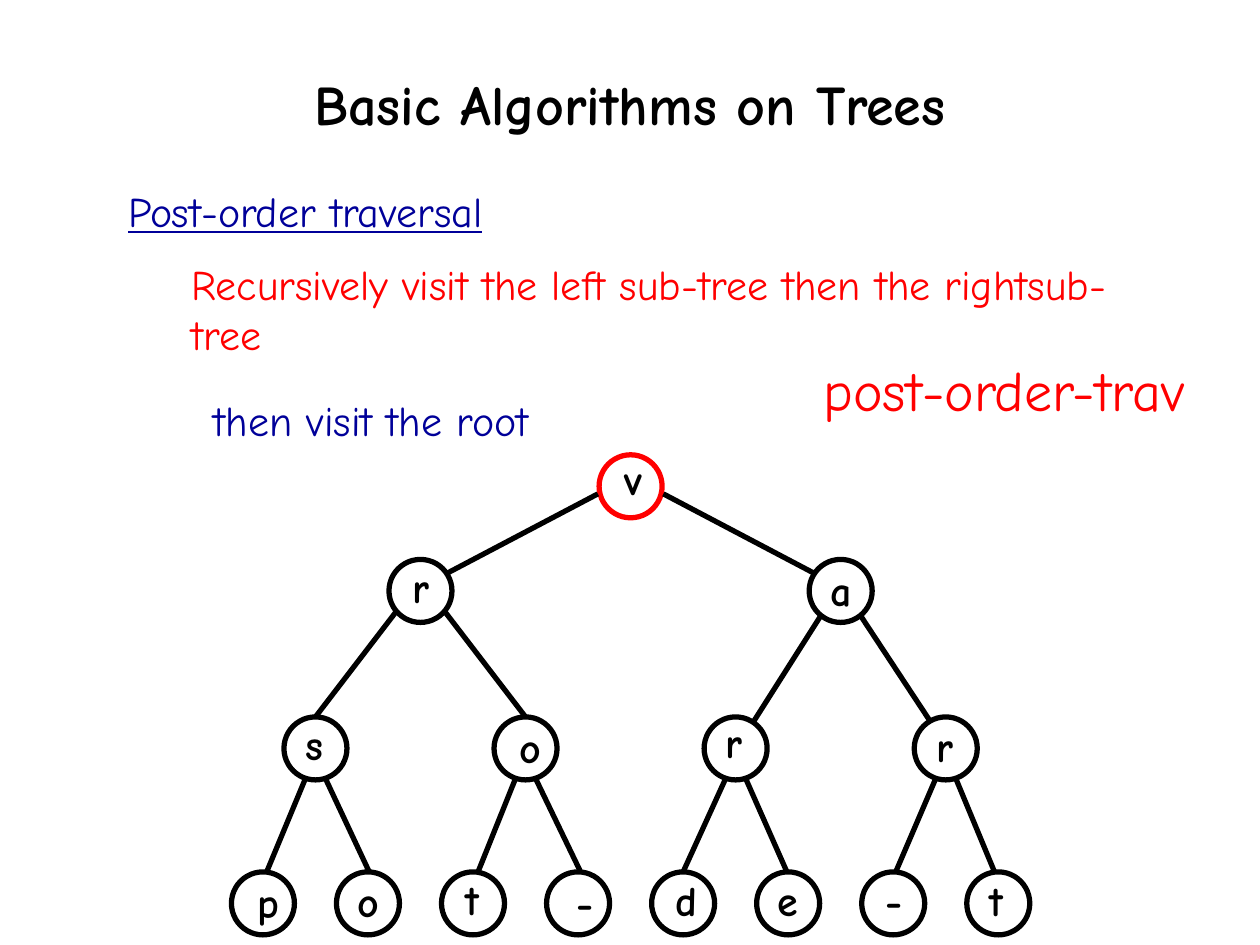
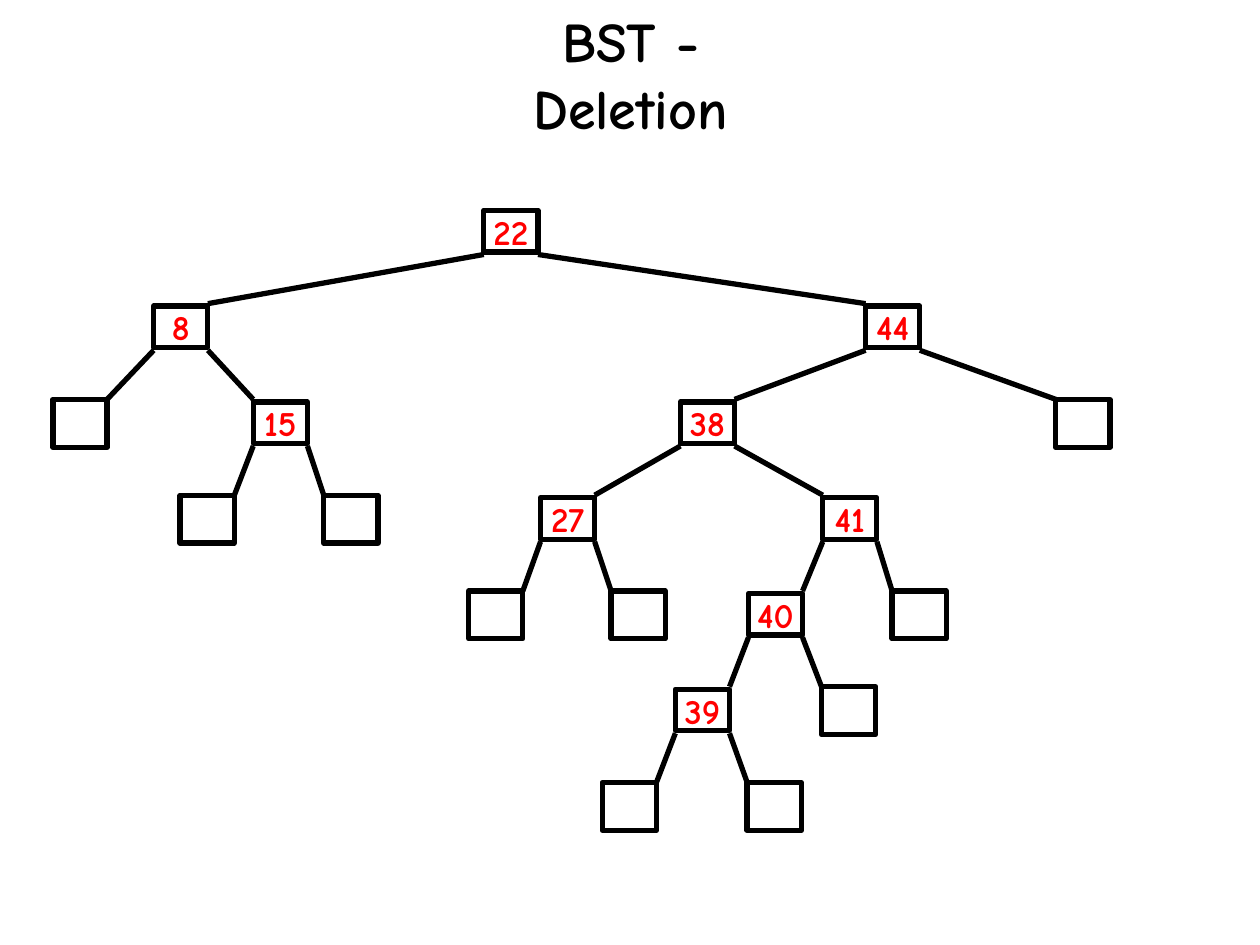
from lxml import etree
from pptx import Presentation
from pptx.dml.color import RGBColor
from pptx.enum import shapes, text
from pptx.oxml import ns
from pptx.util import Inches, Pt

FONT = "Comic Neue"
BLACK, WHITE, RED, NAVY = "000000", "FFFFFF", "FF0000", "000099"
LEFT, CENTER = text.PP_ALIGN.LEFT, text.PP_ALIGN.CENTER

# Letter tree, level by level: letter, its offset in the circle, inward lean of the edge
LEVELS = [
    [("v", .10, -.06, 0)],
    [("r", .09, -.03, .21), ("a", .07, -.01, .21)],
    [("s", .07, -.04, 0), ("o", .10, -.01, 0),
     ("r", .07, -.05, .14), ("r", .08, -.02, .12)],
    [("p", .11, -.01, .03), ("o", .07, -.02, -.01),
     ("t", .09, -.04, .04), ("-", .14, -.01, -.02),
     ("d", .09, -.03, 0), ("e", .07, -.03, .01),
     ("-", .09, -.03, .02), ("t", .08, -.03, .03)],
]
TOPS = [0, .83, 2.08, 3.31]
WIDTHS = {"v": .34, "r": .33, "s": .34, "t": .31, "-": .33, "e": .36}
# Edge ends per parent: x and y from its centre, rise above the child's centre
JOINTS = [[(.26, .06, .14)],
          [(.19, .16, .25), (.16, .20, .21)],
          [(.08, .24, .25)] * 4]

# Search tree: (key, left, left child, right child); a bare number is an empty leaf
BST = (22, 3.42,
       (8, .80, 0, (15, 1.59, 1.01, 2.15)),
       (44, 6.45,
        (38, 4.98,
         (27, 3.87, 3.30, 4.43),
         (41, 6.11,
          (40, 5.52, (39, 4.94, 4.36, 5.51), 6.10),
          6.66)),
        7.96))
STEP, WIDE, HIGH = .76, .43, .33


def color(code):
    return RGBColor.from_string(code)


def write(frame, words, size, ink, bold=False, align=LEFT, line=False):
    para = frame.paragraphs[0]
    para.alignment = align
    run = para.add_run()
    run.text = words
    font = run.font
    font.name, font.size, font.bold = FONT, Pt(size), bold
    font.underline = line
    font.color.rgb = color(ink)


def label(slide, box, words, size, ink, wrap=False, **look):
    frame = slide.shapes.add_textbox(*map(Inches, box)).text_frame
    frame.word_wrap = wrap
    frame.auto_size = text.MSO_AUTO_SIZE.SHAPE_TO_FIT_TEXT
    write(frame, words, size, ink, **look)


def node(slide, kind, box, ink=BLACK, fill=None):
    shape = slide.shapes.add_shape(kind, *map(Inches, box))
    shape.shadow.inherit = False
    if fill:
        shape.fill.solid()
        shape.fill.fore_color.rgb = color(fill)
    else:
        shape.fill.background()
    shape.line.color.rgb = color(ink)
    shape.line.width = Pt(3)
    return shape


def edge(slide, start, end):
    line = slide.shapes.add_connector(
        shapes.MSO_CONNECTOR.STRAIGHT, *map(Inches, (*start, *end)))
    line.line.color.rgb = color(BLACK)
    line.line.width = Pt(3)
    props = line._element.find(ns.qn("p:spPr"))
    etree.SubElement(props, ns.qn("a:effectLst"))


def add_slide(deck, title, box):
    slide = deck.slides.add_slide(deck.slide_layouts[5])
    head = slide.shapes.title
    head.left, head.top, head.width, head.height = map(Inches, box)
    frame = head.text_frame
    frame.word_wrap = False
    frame.auto_size = text.MSO_AUTO_SIZE.NONE
    frame.vertical_anchor = text.MSO_ANCHOR.TOP
    write(frame, title, 32, BLACK, bold=True, align=CENTER)
    return slide


def letter_tree(slide, left, top, width, size=.5):
    def center(level, i):
        return (left + width * (2 * i + 1) / 2 ** (level + 1),
                top + TOPS[level] + size / 2)

    spots = [(level, i, *item) for level, row in enumerate(LEVELS)
             for i, item in enumerate(row)]
    # Letters and circles
    for level, i, letter, dx, dy, _ in spots:
        x, y = (value - size / 2 for value in center(level, i))
        label(slide, (x + dx, y + dy, WIDTHS.get(letter, .37), .5),
              letter, 24, BLACK, bold=True)
        node(slide, shapes.MSO_SHAPE.OVAL, (x, y, size, size),
             BLACK if level else RED)
    # Edges from each child up to its parent
    for level, i, _, _, _, lean in spots[1:]:
        side = 1 if i % 2 else -1
        x, y = center(level, i)
        px, py = center(level - 1, i // 2)
        jx, jy, rise = JOINTS[level - 1][i // 2]
        edge(slide, (x - side * lean, y - rise), (px + side * jx, py + jy))


def search_tree(slide, tree, left, top):
    y = top - .02
    if not isinstance(tree, tuple):
        node(slide, shapes.MSO_SHAPE.RECTANGLE,
             (left + tree, y, WIDE, .38), fill=WHITE)
        return left + tree
    key, x, *kids = tree
    x += left
    box = node(slide, shapes.MSO_SHAPE.RECTANGLE,
               (x, top, WIDE, HIGH), fill=WHITE)
    frame = box.text_frame
    frame.margin_left = frame.margin_right = 0
    frame.margin_top = frame.margin_bottom = 0
    frame.vertical_anchor = text.MSO_ANCHOR.MIDDLE
    write(frame, str(key), 20, RED, bold=True, align=CENTER)
    # Each edge joins facing corners
    for right, kid in enumerate(kids):
        kx = search_tree(slide, kid, left, top + STEP)
        edge(slide, (x + WIDE * right, top + HIGH + .02),
             (kx + WIDE * (1 - right), y + STEP))
    return x


def notes_block(slide, left, top):
    label(slide, (left, top, 3.05, .5), "Post-order traversal", 24, NAVY, line=True)
    label(slide, (left + .68, top + 1.66, 2.7, .5), "then visit the root", 24, NAVY)
    label(slide, (left + .5, top + .58, 7.75, .9),
          "Recursively visit the left sub-tree then the rightsub-tree",
          24, RED, wrap=True)
    label(slide, (left + 5.52, top + 1.35, 3.11, .64), "post-order-trav", 32, RED)


def main():
    deck = Presentation()
    deck.slide_width, deck.slide_height = Inches(10), Inches(7.5)

    # Post-order traversal
    slide = add_slide(deck, "Basic Algorithms on Trees", (2.39, .5, 5.22, .64))
    notes_block(slide, .92, 1.42)
    letter_tree(slide, 1.67, 3.61, 6.67)

    # Binary search tree
    slide = add_slide(deck, "BST - Deletion", (3.51, 0, 2.99, .64))
    search_tree(slide, BST, .42, 1.67)

    deck.save("out.pptx")


if __name__ == "__main__":
    main()
